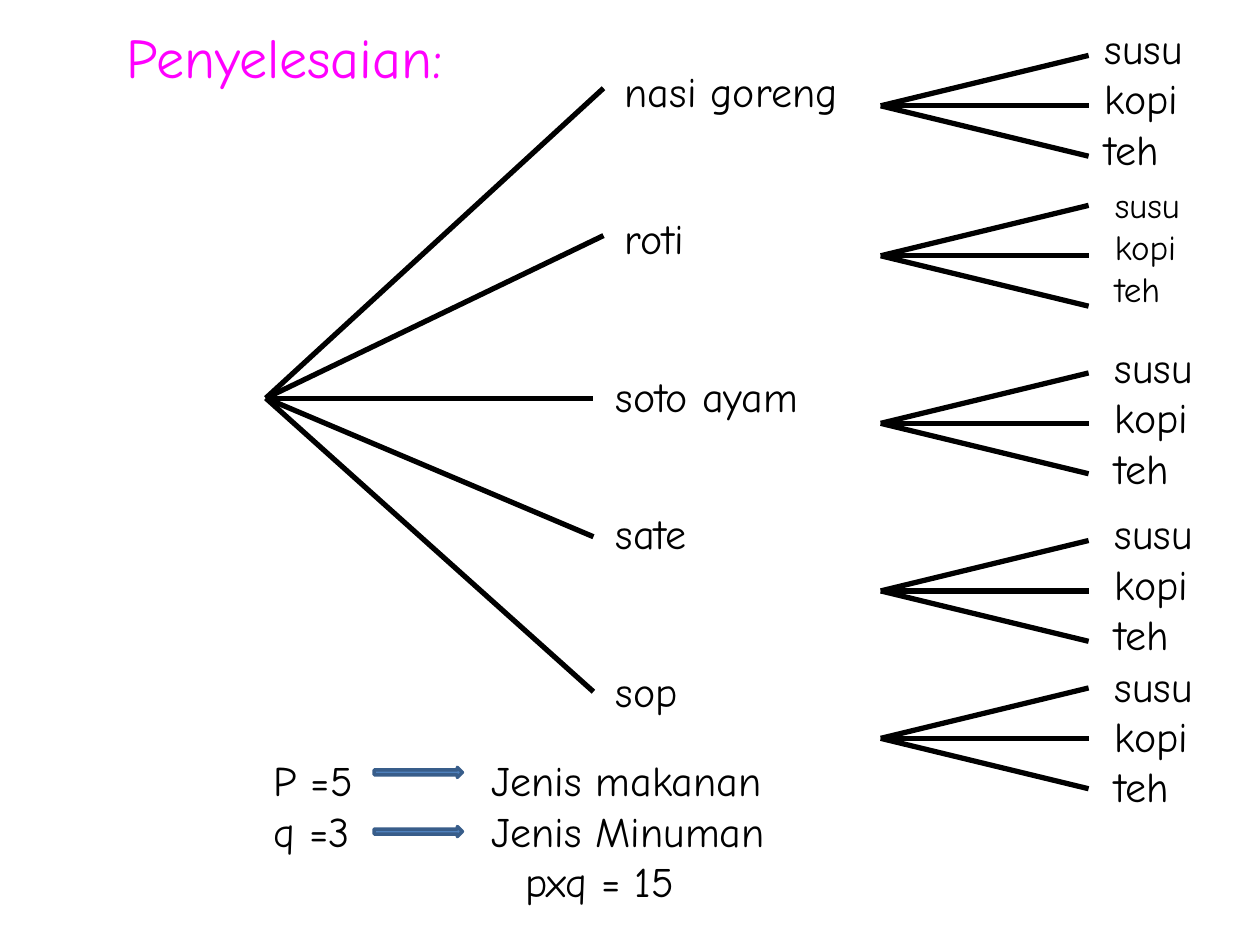
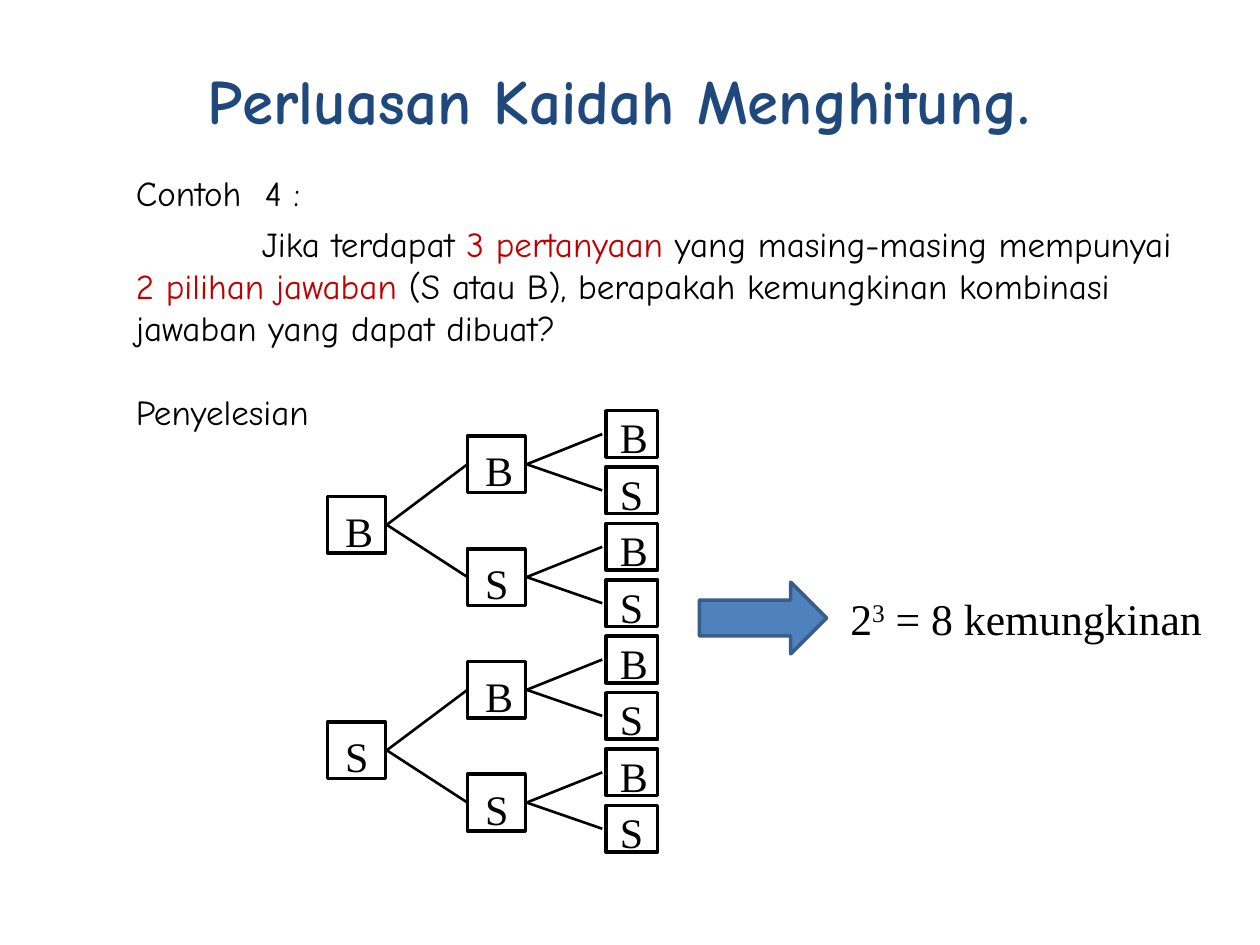
from lxml import etree
from pptx import Presentation
from pptx.dml.color import RGBColor
from pptx.enum.shapes import MSO_CONNECTOR, MSO_SHAPE
from pptx.enum.text import MSO_ANCHOR, PP_ALIGN
from pptx.oxml.ns import qn
from pptx.util import Inches, Pt

STRAIGHT = MSO_CONNECTOR.STRAIGHT
RECTANGLE, RIGHT_ARROW = MSO_SHAPE.RECTANGLE, MSO_SHAPE.RIGHT_ARROW
TOP, MIDDLE, LEFT = MSO_ANCHOR.TOP, MSO_ANCHOR.MIDDLE, PP_ALIGN.LEFT

COLUMNS, ROWS = 10, 7.5  # grid cells of one inch
BLANK = 6
HAND, SERIF = "Comic Neue", "Times New Roman"
BLACK, MAGENTA, NAVY, RED = "000000", "FF00FF", "1F497D", "C00000"
ARROW_FILL, ARROW_EDGE = "4F81BD", "385D8A"

# label, label left, label top, label width, branch tip (column, row)
FOODS = [
    ("nasi goreng", 4.86, 0.47, 1.95, (4.79, 0.7)),
    ("roti", 4.86, 1.64, 0.79, (4.79, 1.87)),
    ("soto ayam", 4.79, 2.89, 1.74, (4.71, 3.16)),
    ("sate", 4.79, 3.98, 0.87, (4.71, 4.26)),
    ("sop", 4.79, 5.23, 0.72, (4.71, 5.49)),
]
# fan row, label left, label top, label height, text size
DRINK_FANS = [
    (0.84, 8.67, 0.13, 1.3, 24),
    (2.03, 8.75, 1.41, 1.1, 20),
    (3.36, 8.75, 2.66, 1.3, 24),
    (4.69, 8.75, 3.98, 1.3, 24),
    (5.86, 8.75, 5.19, 1.3, 24),
]
DRINKS = "susu\nkopi\nteh"
DRINK_WIDTH = 0.84

# left, top of the first box, width, height, text inset left and top, gap before
ANSWER_LEVELS = [
    (2.6, 3.94, 0.46, 0.45, 0.14, 0.07, 0),
    (3.71, 3.46, 0.46, 0.45, 0.14, 0.07, 0),
    (4.81, 3.26, 0.41, 0.37, 0.11, 0.01, 0.03),
]
ANSWER_PITCH = 1.79


def rgb(value):
    return RGBColor.from_string(value)


def style_span(span, size, face=HAND, color=BLACK, bold=False):
    font = span.font
    font.size, font.name, font.bold = Pt(size), face, bold
    font.color.rgb = rgb(color)


def set_insets(frame, left, top, right, bottom):
    frame.margin_left, frame.margin_top = Inches(left), Inches(top)
    frame.margin_right, frame.margin_bottom = Inches(right), Inches(bottom)


def add_text(page, area, text, size, face=HAND, color=BLACK, bold=False, wrap=True):
    box = page.shapes.add_textbox(*map(Inches, area))
    frame = box.text_frame
    frame.word_wrap = wrap
    set_insets(frame, 0.1, 0.05, 0.1, 0.05)
    frame.text = text
    for para in frame.paragraphs:
        for span in para.runs:
            style_span(span, size, face, color, bold)
    return frame


def add_spans(para, spans, face=HAND):
    """Append (text, size, colour) spans to a paragraph and return them."""
    added = []
    for text, size, color in spans:
        span = para.add_run()
        span.text = text
        style_span(span, size, face, color)
        added.append(span)
    return added


def indent_first_line(para, indent):
    props = para._p.get_or_add_pPr()
    props.set("marL", "0")
    props.set("indent", str(Inches(indent)))


def add_line(page, start, end, weight):
    line = page.shapes.add_connector(STRAIGHT, *map(Inches, (*start, *end)))
    line.line.color.rgb = rgb(BLACK)
    line.line.width = Pt(weight)
    etree.SubElement(line._element.spPr, qn("a:effectLst"))


def add_shape(page, kind, area, edge, fill=None):
    shape = page.shapes.add_shape(kind, *map(Inches, area))
    shape.shadow.inherit = False
    shape.line.color.rgb = rgb(edge)
    shape.line.width = Pt(2)
    if fill:
        shape.fill.solid()
        shape.fill.fore_color.rgb = rgb(fill)
    else:
        shape.fill.background()
    return shape


def add_arrow(page, area):
    add_shape(page, RIGHT_ARROW, area, ARROW_EDGE, ARROW_FILL)


def add_fan(page, hub, tips):
    for tip in tips:
        add_line(page, hub, tip, 3)


def add_answer_box(page, level, index):
    """Draw one B or S box and return its centre row."""
    left, first_top, width, height, inset_left, inset_top, _ = ANSWER_LEVELS[level]
    top = first_top + index * ANSWER_PITCH / 2 ** level
    box = add_shape(page, RECTANGLE, (left, top, width, height), BLACK)
    frame = box.text_frame
    set_insets(frame, inset_left, inset_top, 0, 0)
    frame.word_wrap = True
    frame.vertical_anchor = TOP
    frame.text = "BS"[index % 2]
    para = frame.paragraphs[0]
    para.alignment = LEFT
    style_span(para.runs[0], 24, SERIF)
    return top + height / 2


def add_answer_branch(page, level, index):
    """Draw a box with everything that grows from it; return its centre row."""
    center = add_answer_box(page, level, index)
    if level + 1 < len(ANSWER_LEVELS):
        left, _, width, *_ = ANSWER_LEVELS[level]
        child_left, *_, gap = ANSWER_LEVELS[level + 1]
        for child in (2 * index, 2 * index + 1):
            child_center = add_answer_branch(page, level + 1, child)
            add_line(page, (left + width + 0.01, center),
                     (child_left - gap, child_center), 1.5)
    return center


def build_menu_page(deck):
    page = deck.slides.add_slide(deck.slide_layouts[BLANK])
    add_text(page, (0.91, 0.13, 2.73, 0.64), "Penyelesaian:", 32,
             color=MAGENTA, wrap=False)
    for label, left, top, width, _ in FOODS:
        add_text(page, (left, top, width, 0.5), label, 24)
    add_fan(page, (2.11, 3.16), [food[-1] for food in FOODS])

    for row, left, top, height, size in DRINK_FANS:
        add_text(page, (left, top, DRINK_WIDTH, height), DRINKS, size)
        add_fan(page, (6.99, row), [(8.64, row + rise) for rise in (-0.4, 0, 0.4)])

    add_text(page, (2.07, 5.94, 0.9, 0.9), "P =5\nq =3", 24)
    meanings = add_text(page, (3.8, 5.94, 2.6, 1.3),
                        "Jenis makanan\nJenis Minuman\npxq = 15", 24)
    indent_first_line(meanings.paragraphs[-1], 0.27)
    for top in (6.09, 6.56):
        add_arrow(page, (2.97, top, 0.7, 0.08))


def build_answer_page(deck):
    page = deck.slides.add_slide(deck.slide_layouts[BLANK])
    title = add_text(page, (1.55, 0.44, 7.68, 0.7), "Perluasan Kaidah Menghitung.",
                     36, color=NAVY, bold=True)
    title.vertical_anchor = MIDDLE

    frame = add_text(page, (0.98, 1.31, 8.44, 2.52), "Contoh  4 :", 20)
    question = frame.add_paragraph()
    indent_first_line(question, 1)
    question.space_before = Pt(5)
    add_spans(question, [
        ("Jika terdapat ", 20, BLACK),
        ("3 pertanyaan ", 20, RED),
        ("yang masing-masing mempunyai ", 20, BLACK),
        ("2 pilihan jawaban", 20, RED),
        (" (S atau B), berapakah kemungkinan kombinasi jawaban yang dapat dibuat?",
         20, BLACK),
    ])
    solution = frame.add_paragraph()
    solution.space_before = Pt(24)
    add_spans(solution, [("Penyelesian", 20, BLACK)])

    for root in range(2):
        add_answer_branch(page, 0, root)

    add_arrow(page, (5.55, 4.62, 1.01, 0.57))
    result = add_text(page, (6.65, 4.65, 3.19, 0.52), "2", 25, SERIF)
    power, _ = add_spans(result.paragraphs[0],
                         [("3", 25, BLACK), (" = 8 kemungkinan", 25, BLACK)], SERIF)
    power._r.get_or_add_rPr().set("baseline", "30000")


def main():
    deck = Presentation()
    deck.slide_width, deck.slide_height = Inches(COLUMNS), Inches(ROWS)
    build_menu_page(deck)
    build_answer_page(deck)
    deck.save("out.pptx")


if __name__ == "__main__":
    main()
